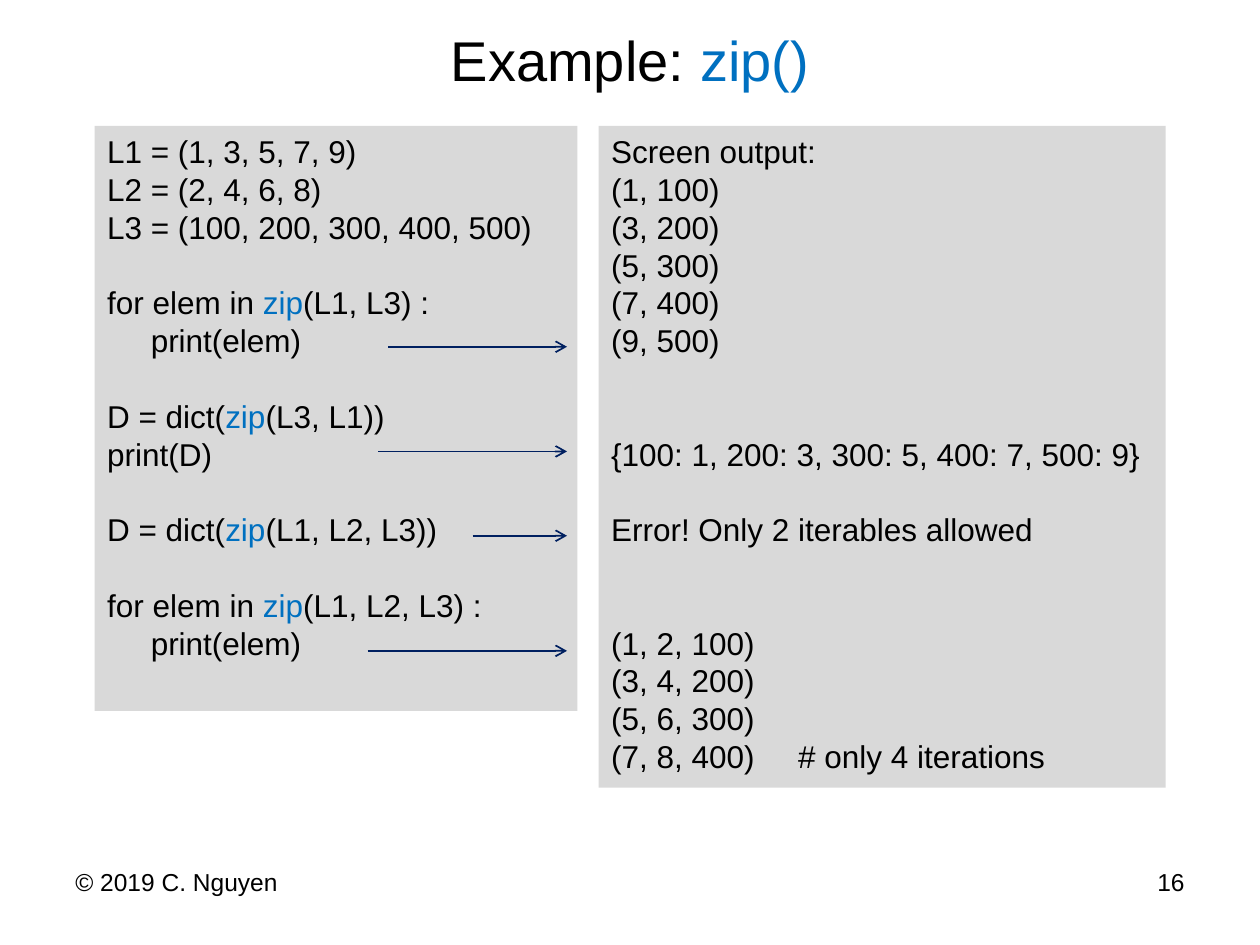
"""Build a slide that shows zip() code beside its screen output."""
from lxml import etree
from pptx import Presentation
from pptx import util as u
from pptx.dml.color import RGBColor
from pptx.enum import shapes, text
from pptx.oxml.ns import qn

LEFT, CENTER, RIGHT = text.PP_ALIGN.LEFT, text.PP_ALIGN.CENTER, text.PP_ALIGN.RIGHT
LINE = 21.6


def color(value):
    return RGBColor.from_string(value)


def write(sp, lines, size, align=LEFT, spacing=None):
    tf = sp.text_frame
    tf.word_wrap = True
    for i, (gap, line) in enumerate(lines):
        p = tf.paragraphs[0] if i == 0 else tf.add_paragraph()
        p.alignment = align
        p.font.name = "Arial"
        p.font.size = u.Pt(size)
        if spacing:
            p.line_spacing = u.Pt(spacing)
            p.space_before = u.Pt(gap * spacing)
        pPr = p._p.get_or_add_pPr()
        if line.startswith("\t"):
            pPr.set("marL", str(u.Cm(0.88)))
        elif "\t" in line:
            tabs = etree.Element(qn("a:tabLst"))
            etree.SubElement(tabs, qn("a:tab"), pos=str(u.Cm(3.77)), algn="l")
            pPr.find(qn("a:defRPr")).addprevious(tabs)
        for j, part in enumerate(line.lstrip("\t").split("|")):
            if part:
                r = p.add_run()
                r.text = part
                r.font.color.rgb = color("0070C0" if j % 2 else "000000")


prs = Presentation()
prs.slide_width, prs.slide_height = u.Cm(25.4), u.Cm(19.05)
s = prs.slides.add_slide(prs.slide_layouts[6])

labels = [
    (1.27, 0.2, 22.86, 1.98, "Example: |zip()|", 32, CENTER, text.MSO_ANCHOR.MIDDLE),
    (18.21, 17.35, 5.92, 1.32, "16", 14, RIGHT, text.MSO_ANCHOR.TOP),
    (1.27, 17.35, 5.92, 1.32, "© 2019 C. Nguyen", 14, LEFT, text.MSO_ANCHOR.TOP),
]
for x, y, w, h, label, size, align, anchor in labels:
    sp = s.shapes.add_textbox(u.Cm(x), u.Cm(y), u.Cm(w), u.Cm(h))
    write(sp, [(0, label)], size, align)
    sp.text_frame.vertical_anchor = anchor

code = [
    (0, "L1 = (1, 3, 5, 7, 9)"),
    (0, "L2 = (2, 4, 6, 8)"),
    (0, "L3 = (100, 200, 300, 400, 500)"),
    (1, "for elem in |zip|(L1, L3) :"),
    (0, "\tprint(elem)"),
    (1, "D = dict(|zip|(L3, L1))"),
    (0, "print(D)"),
    (1, "D = dict(|zip|(L1, L2, L3))"),
    (1, "for elem in |zip|(L1, L2, L3) :"),
    (0, "\tprint(elem)"),
]
output = [
    (0, "Screen output:"),
    (0, "(1, 100)"),
    (0, "(3, 200)"),
    (0, "(5, 300)"),
    (0, "(7, 400)"),
    (0, "(9, 500)"),
    (2, "{100: 1, 200: 3, 300: 5, 400: 7, 500: 9}"),
    (1, "Error! Only 2 iterables allowed"),
    (2, "(1, 2, 100)"),
    (0, "(3, 4, 200)"),
    (0, "(5, 6, 300)"),
    (0, "(7, 8, 400)\t# only 4 iterations"),
]
for x, w, h, lines in [(1.91, 9.73, 11.79, code), (12.07, 11.43, 13.34, output)]:
    sp = s.shapes.add_shape(shapes.MSO_SHAPE.RECTANGLE, u.Cm(x), u.Cm(2.54), u.Cm(w), u.Cm(h))
    sp.shadow.inherit = False
    sp.fill.solid()
    sp.fill.fore_color.rgb = color("D9D9D9")
    sp.line.fill.background()
    sp.text_frame.vertical_anchor = text.MSO_ANCHOR.TOP
    write(sp, lines, 18, spacing=LINE)

for x, y in [(7.83, 6.99), (7.62, 9.1), (9.53, 10.8), (7.41, 13.12)]:
    arrow = s.shapes.add_connector(
        shapes.MSO_CONNECTOR.STRAIGHT, u.Cm(x), u.Cm(y), u.Cm(11.43), u.Cm(y))
    arrow.line.color.rgb = color("002060")
    arrow.line.width = u.Pt(1)
    etree.SubElement(arrow.line._get_or_add_ln(), qn("a:tailEnd"), type="arrow")
    etree.SubElement(arrow._element.spPr, qn("a:effectLst"))

prs.save("out.pptx")
